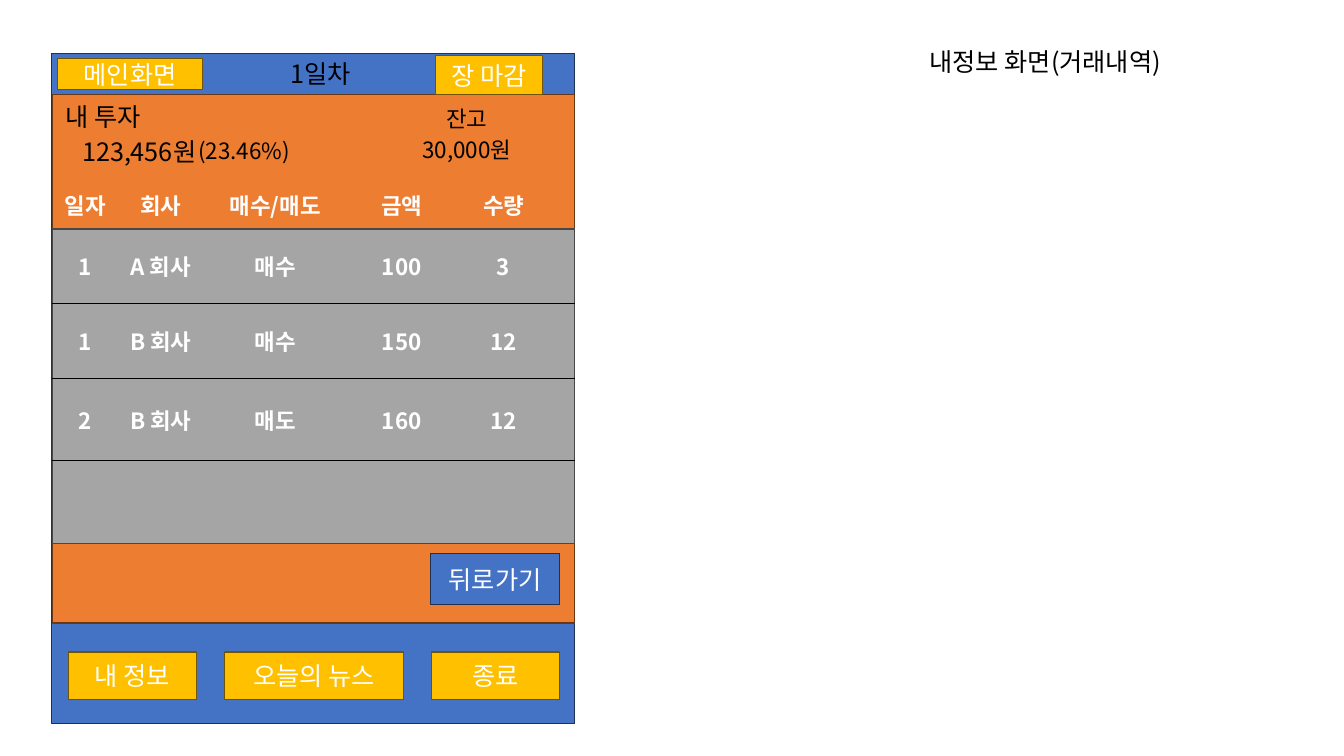
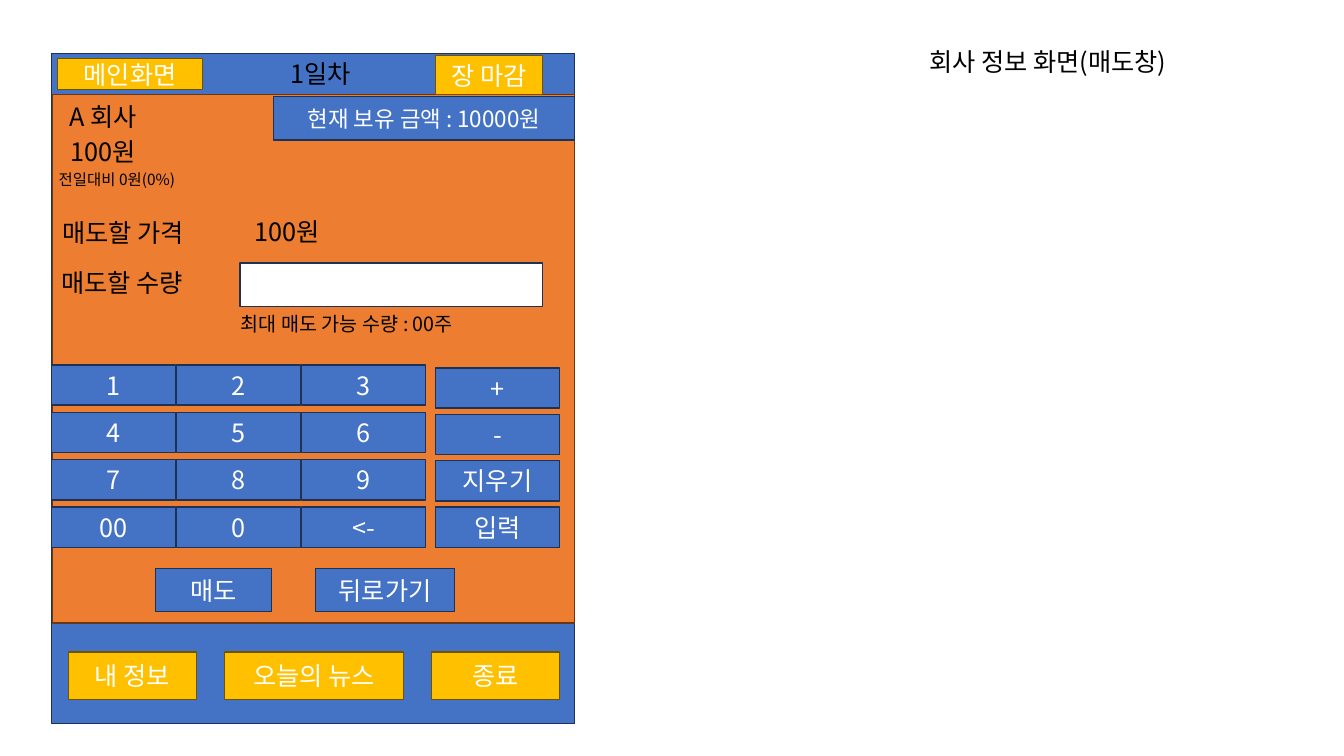
"""Builds two wireframe slides of a stock trading game: trade history and sell order."""
from dataclasses import dataclass
from itertools import accumulate

from lxml.etree import SubElement
from pptx import Presentation
from pptx.dml.color import RGBColor as Rgb
from pptx.enum.shapes import MSO_SHAPE as Shape
from pptx.enum.text import MSO_ANCHOR as Anchor, MSO_AUTO_SIZE as Fit, PP_ALIGN as Align
from pptx.oxml import parse_xml
from pptx.oxml.ns import nsdecls, qn
from pptx.util import Inches, Pt


@dataclass(frozen=True)
class Theme:
    font: str = "Noto Sans CJK KR"
    black: str = "000000"
    white: str = "FFFFFF"
    blue: tuple = ("4472C4", "1E3256")
    orange: tuple = ("ED7D31", "683715")
    gray: tuple = ("A5A5A5", "484848")
    yellow: tuple = ("FFC000", "705400")
    field: tuple = ("FFFFFF", "1E3256")
    large: int = 18
    medium: int = 16
    small: int = 14
    tiny: int = 11
    plain_table: str = "{2D5ABB26-0587-4C30-8999-92F81FD0307C}"


THEME = Theme()
SLIDE = (13.33, 7.5)
PHONE = (0.51, 0.53, 5.19, 6.65)
BODY = (0.52, 0.94, 5.18, 5.24)
TITLE = (9.12, 0.41, 2.93, 0.4)
DAY = ("1일차", (2.08, 0.53, 2.2, 0.41))

NAVIGATION = [
    ("메인화면", (0.57, 0.58, 1.44, 0.31)),
    ("장 마감", (4.32, 0.55, 1.06, 0.39)),
    ("내 정보", (0.68, 6.47, 1.27, 0.47)),
    ("오늘의 뉴스", (2.23, 6.47, 1.77, 0.47)),
    ("종료", (4.28, 6.47, 1.27, 0.47)),
]

HISTORY_TITLE = "내정보 화면(거래내역)"
HISTORY_LABELS = [
    ("내 투자", (0.39, 0.96, 1.27, 0.4), THEME.large),
    ("123,456원", (0.39, 1.3, 1.98, 0.4), THEME.large),
    ("(23.46%)", (1.5, 1.31, 1.84, 0.37), THEME.medium),
    ("잔고", (3.71, 0.99, 1.84, 0.37), THEME.medium),
    ("30,000원", (3.71, 1.3, 1.84, 0.37), THEME.medium),
]
HISTORY_BACK = ("뒤로가기", (4.27, 5.49, 1.28, 0.51))
TRADES = [
    ("일자", "회사", "매수/매도", "금액", "수량"),
    ("1", "A 회사", "매수", "100", "3"),
    ("1", "B 회사", "매수", "150", "12"),
    ("2", "B 회사", "매도", "160", "12"),
    ("", "", "", "", ""),
]
TRADE_COLUMNS = (0.65, 0.85, 1.42, 1.09, 1.17)
TRADE_ROWS = (0.48, 0.74, 0.74, 0.82, 0.82)
TRADE_TOP = 1.79
LAST_COLUMN_INSET = 0.24

SELL_TITLE = "회사 정보 화면(매도창)"
SELL_LABELS = [
    ("A 회사", (0.39, 0.96, 1.27, 0.4), THEME.large, Align.CENTER),
    ("100원", (0.39, 1.3, 1.27, 0.4), THEME.large, Align.CENTER),
    ("전일대비 0원(0%)", (0.24, 1.64, 1.84, 0.47), THEME.tiny, Align.CENTER),
    ("매도할 가격", (0.52, 2.11, 1.91, 0.4), THEME.large, Align.LEFT),
    ("100원", (2.43, 2.1, 3.12, 0.4), THEME.large, Align.LEFT),
    ("매도할 수량", (0.51, 2.6, 1.91, 0.4), THEME.large, Align.LEFT),
    ("최대 매도 가능 수량 : 00주", (2.29, 3.05, 3.25, 0.34), THEME.small, Align.LEFT),
]
CASH = ("현재 보유 금액 : 10000원", (2.71, 0.96, 2.99, 0.43))
QUANTITY_FIELD = (2.38, 2.61, 3, 0.43)
SELL_ACTIONS = [
    ("매도", (1.54, 5.64, 1.15, 0.43)),
    ("뒤로가기", (3.13, 5.64, 1.38, 0.43)),
]
KEY_SIZE = (1.23, 0.4)
KEY_BOTTOM_ROW = 5.03
KEYPADS = [
    (0.51, (1.24, 0.47), [("1", "2", "3"), ("4", "5", "6"), ("7", "8", "9"), ("00", "0", "<-")]),
    (4.32, (1.24, 0.46), [("+",), ("-",), ("지우기",), ("입력",)]),
]


def write(frame, text, size=THEME.large, color=THEME.black, bold=False, align=Align.CENTER):
    para = frame.paragraphs[0]
    para.alignment = align
    span = para.add_run()
    span.text = text
    span.font.size = Pt(size)
    span.font.bold = bold
    span.font.name = THEME.font
    span.font.color.rgb = Rgb.from_string(color)
    SubElement(span.font._element, qn("a:ea"), typeface=THEME.font)


def add_label(page, text, at, **style):
    box = page.shapes.add_textbox(*map(Inches, at))
    box.text_frame.word_wrap = True
    box.text_frame.auto_size = Fit.SHAPE_TO_FIT_TEXT
    write(box.text_frame, text, **style)


def add_box(page, at, colors, text="", size=THEME.large):
    fill, line = colors
    box = page.shapes.add_shape(Shape.RECTANGLE, *map(Inches, at))
    box.shadow.inherit = False
    box.fill.solid()
    box.fill.fore_color.rgb = Rgb.from_string(fill)
    box.line.color.rgb = Rgb.from_string(line)
    box.line.width = Pt(1)
    if text:
        box.text_frame.vertical_anchor = Anchor.MIDDLE
        write(box.text_frame, text, size=size, color=THEME.white)


def underline(cell):
    cell._tc.get_or_add_tcPr().insert(0, parse_xml(
        f'<a:lnB {nsdecls("a")} w="6350"><a:solidFill>'
        f'<a:srgbClr val="{THEME.black}"/></a:solidFill></a:lnB>'))


def add_screen(deck, title):
    page = deck.slides.add_slide(deck.slide_layouts[6])
    add_box(page, PHONE, THEME.blue)
    add_box(page, BODY, THEME.orange)
    add_label(page, title, TITLE, align=Align.LEFT)
    add_label(page, *DAY)
    for text, at in NAVIGATION:
        add_box(page, at, THEME.yellow, text)
    return page


def add_trades(page):
    left, width = BODY[0], sum(TRADE_COLUMNS)
    header = TRADE_ROWS[0]
    height = sum(TRADE_ROWS)
    add_box(page, (left, TRADE_TOP + header, width, height - header), THEME.gray)
    table = page.shapes.add_table(
        len(TRADE_ROWS), len(TRADE_COLUMNS),
        *map(Inches, (left, TRADE_TOP, width, height))).table
    table.first_row = table.horz_banding = False
    table._tbl.tblPr.find(qn("a:tableStyleId")).text = THEME.plain_table
    for column, size in zip(table.columns, TRADE_COLUMNS):
        column.width = Inches(size)
    for row, size, texts in zip(table.rows, TRADE_ROWS, TRADES):
        row.height = Inches(size)
        for cell, text in zip(row.cells, texts):
            cell.fill.background()
            cell.vertical_anchor = Anchor.MIDDLE
            cell.margin_left = cell.margin_right = 0
            if text:
                write(cell.text_frame, text, size=THEME.medium, color=THEME.white, bold=True)
        cell.margin_right = Inches(LAST_COLUMN_INSET)
    for index in range(1, len(TRADES) - 1):
        for cell in table.rows[index].cells:
            underline(cell)


def add_keypad(page, left, pitch, rows):
    across, down = pitch
    tops = list(accumulate([-down] * (len(rows) - 1), initial=KEY_BOTTOM_ROW))[::-1]
    for top, keys in zip(tops, rows):
        for index, key in enumerate(keys):
            add_box(page, (left + index * across, top, *KEY_SIZE), THEME.blue, key)


def build_history(deck):
    page = add_screen(deck, HISTORY_TITLE)
    for text, at, size in HISTORY_LABELS:
        add_label(page, text, at, size=size)
    add_trades(page)
    text, at = HISTORY_BACK
    add_box(page, at, THEME.blue, text)


def build_sell(deck):
    page = add_screen(deck, SELL_TITLE)
    for text, at, size, align in SELL_LABELS:
        add_label(page, text, at, size=size, align=align)
    text, at = CASH
    add_box(page, at, THEME.blue, text, size=THEME.medium)
    add_box(page, QUANTITY_FIELD, THEME.field)
    for keypad in KEYPADS:
        add_keypad(page, *keypad)
    for text, at in SELL_ACTIONS:
        add_box(page, at, THEME.blue, text)


def main():
    deck = Presentation()
    deck.slide_width, deck.slide_height = map(Inches, SLIDE)
    build_history(deck)
    build_sell(deck)
    deck.save("out.pptx")


if __name__ == "__main__":
    main()
